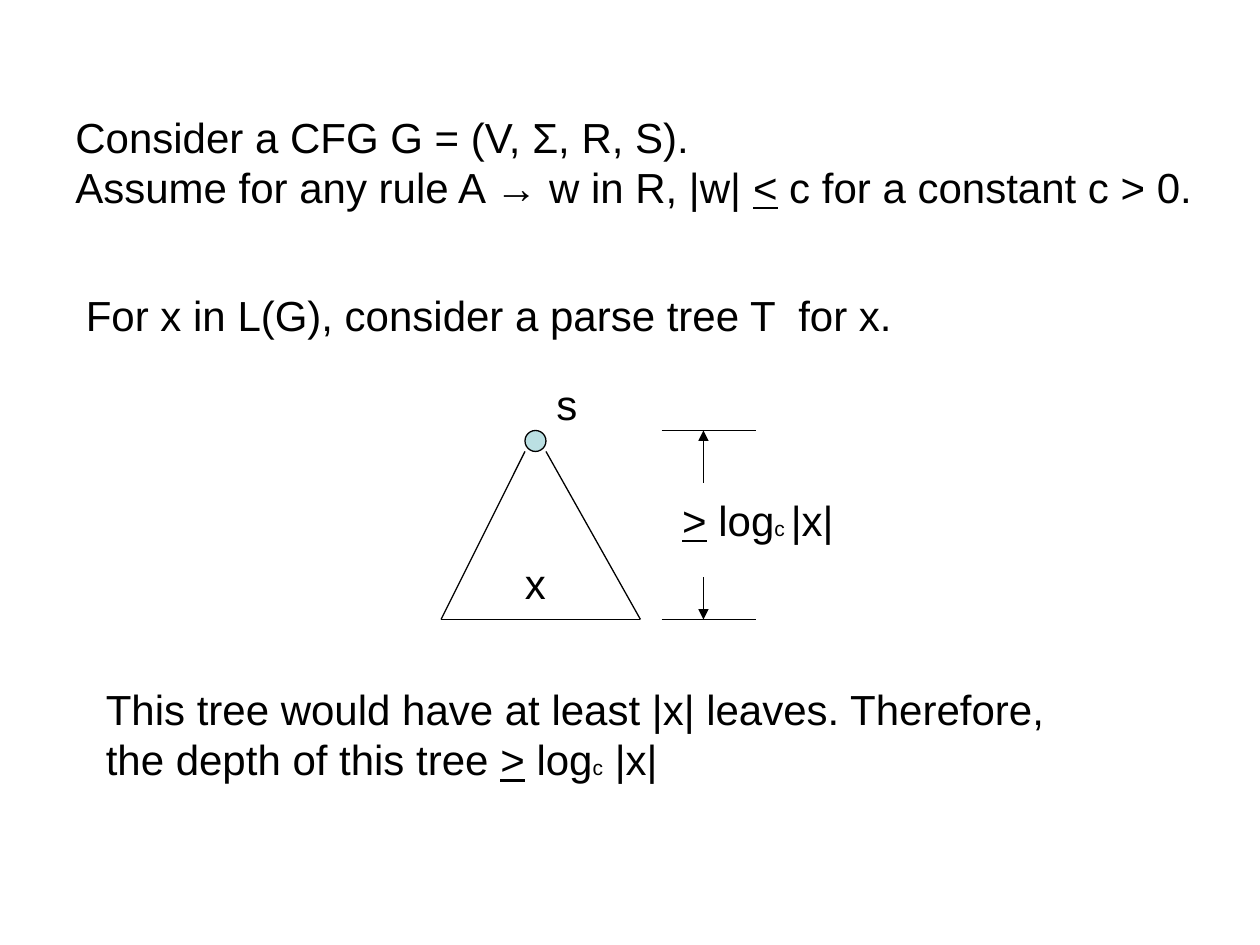
from lxml import etree
from pptx import Presentation
from pptx.dml.color import RGBColor
from pptx.enum.shapes import MSO_CONNECTOR, MSO_SHAPE
from pptx.enum.text import MSO_AUTO_SIZE
from pptx.oxml.ns import qn
from pptx.util import Inches, Pt

STRAIGHT = MSO_CONNECTOR.STRAIGHT
OVAL = MSO_SHAPE.OVAL
FIT_TEXT = MSO_AUTO_SIZE.SHAPE_TO_FIT_TEXT
COLORS = {"ink": "000000", "node": "BBE0E3"}
COLUMNS, ROWS = 120, 90

deck = Presentation()
deck.slide_width, deck.slide_height = Inches(10), Inches(7.5)
page = deck.slides.add_slide(deck.slide_layouts[6])


def place(column, row):
    return int(deck.slide_width * column / COLUMNS), int(deck.slide_height * row / ROWS)


ink = RGBColor.from_string(COLORS["ink"])
TEXT = {"name": "Arial", "size": Pt(24), "underline": False}
UNDER = {"underline": True}
SMALL = {"size": Pt(12)}

apex_row, base_row = 41, 59
side_row = apex_row + 2
base_left, base_right = 42, 61
node_left, node_right = 50, 52
bar_left, bar_right, arrow_column = 63, 72, 67

texts = [
    (6, 10, 109.2, [
        [("Consider a CFG G = (V, Σ, R, S).", {})],
        [("Assume for any rule A → w in R, |w| ", {}), ("<", UNDER),
         (" c for a constant c > 0.", {})],
    ]),
    (7, 27, 80.4, [[("For x in L(G), consider a parse tree T  for x.", {})]]),
    (48.8, 52.5, 4.4, [[("x", {})]]),
    (8.9, 64.5, 92.9, [
        [("This tree would have at least |x| leaves. Therefore,", {})],
        [("the depth of this tree ", {}), (">", UNDER), (" log", {}),
         ("c", SMALL), (" |x|", {})],
    ]),
    (63.8, 46.5, 16.8, [[(">", UNDER), (" log", {}), ("c ", SMALL), ("|x|", {})]]),
    (51.8, 35.5, 4.4, [[("s", {})]]),
]
for column, row, width, lines in texts:
    height = 6 + 4.8 * (len(lines) - 1)
    box = page.shapes.add_textbox(*place(column, row), *place(width, height))
    frame = box.text_frame
    frame.word_wrap = False
    frame.auto_size = FIT_TEXT
    for index, spans in enumerate(lines):
        para = frame.add_paragraph() if index else frame.paragraphs[0]
        for words, changes in spans:
            span = para.add_run()
            span.text = words
            span.font.color.rgb = ink
            for name, value in {**TEXT, **changes}.items():
                setattr(span.font, name, value)

root = page.shapes.add_shape(OVAL, *place(node_left, apex_row), *place(2, 2))
root.shadow.inherit = False
root.fill.solid()
root.fill.fore_color.rgb = RGBColor.from_string(COLORS["node"])
root.line.color.rgb = ink
root.line.width = Pt(0.75)

segments = [
    ((node_left, side_row), (base_left, base_row), False),
    ((base_left, base_row), (base_right, base_row), False),
    ((node_right, side_row), (base_right, base_row), False),
    ((bar_left, apex_row), (bar_right, apex_row), False),
    ((bar_left, base_row), (bar_right, base_row), False),
    ((arrow_column, 46), (arrow_column, apex_row), True),
    ((arrow_column, 55), (arrow_column, base_row), True),
]
for start, end, has_arrow in segments:
    line = page.shapes.add_connector(STRAIGHT, *place(*start), *place(*end))
    line.line.color.rgb = ink
    line.line.width = Pt(0.75)
    properties = line.element.spPr
    if has_arrow:
        etree.SubElement(properties.find(qn("a:ln")), qn("a:tailEnd"), type="triangle")
    etree.SubElement(properties, qn("a:effectLst"))

deck.save("out.pptx")
